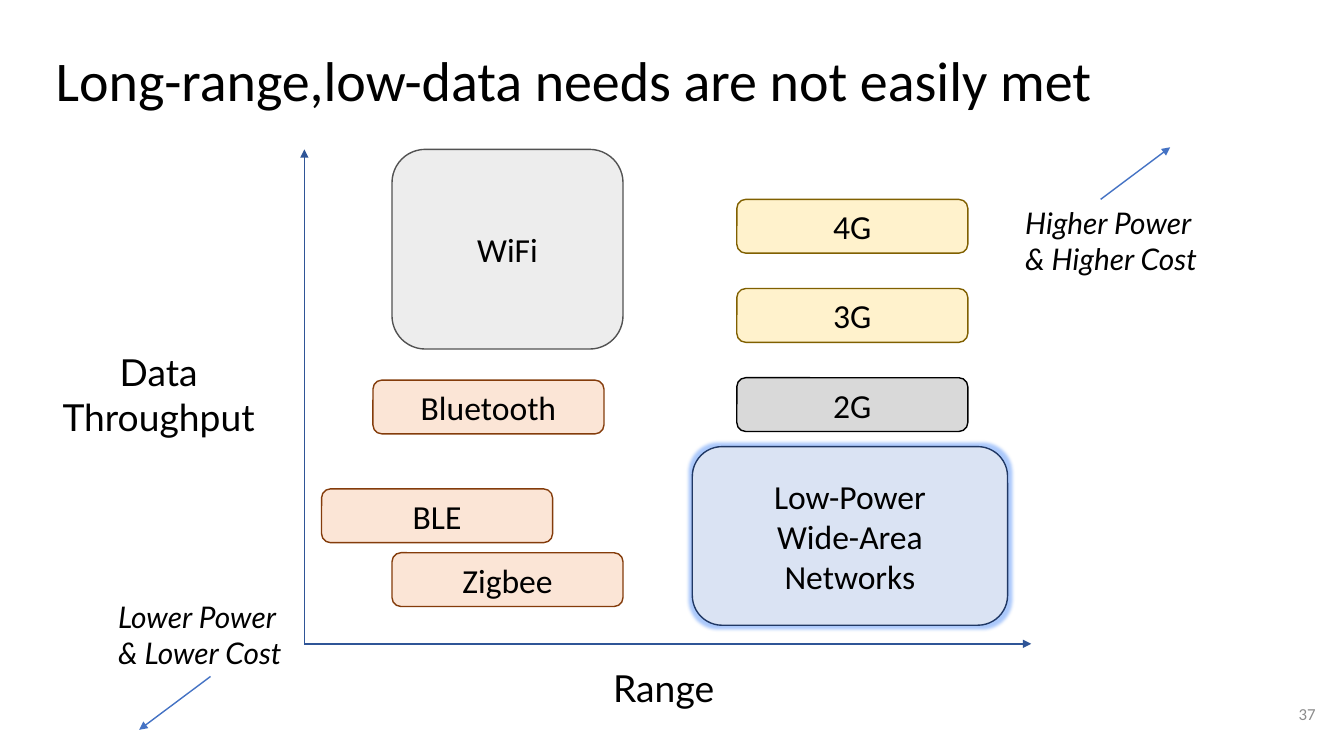
"""Build the slide that maps wireless technologies by range and data throughput."""
from dataclasses import dataclass

from lxml import etree
from pptx import Presentation
from pptx.dml.color import RGBColor
from pptx.enum.shapes import MSO_CONNECTOR, MSO_SHAPE
from pptx.enum.text import MSO_ANCHOR as ANCHOR, MSO_AUTO_SIZE as AUTO, PP_ALIGN as ALIGN
from pptx.oxml.ns import qn
from pptx.util import Pt

COLORS = {
    "text": "000000", "number": "8C8C8C", "axis": "2F5597", "arrow": "4472C4",
    "short": "FBE5D6", "short_line": "843C0B",
    "wifi": "EDEDED", "wifi_line": "525252",
    "cell": "FFF2CC", "cell_line": "806000",
    "old_cell": "D9D9D9", "old_cell_line": "000000",
    "lpwan": "DAE3F3", "lpwan_line": "203864", "glow": "2F78F5",
}
BOX_W, BOX_H = 165, 38.4
CELL_X, CELL_TOP, CELL_STEP = 526.3, 142.4, 63.7
ORIGIN_X, ORIGIN_Y = 217.4, 459.9
AXIS_SIZE, NOTE_SIZE = 26.67, 21.33


@dataclass
class Tech:
    text: str
    x: float
    y: float
    kind: str
    w: float = BOX_W
    h: float = BOX_H
    glow: bool = False


@dataclass
class Label:
    text: str
    x: float
    y: float
    w: float
    h: float
    size: float
    font: str = "Lato"
    color: str = "text"
    align: ALIGN = ALIGN.CENTER
    italic: bool = False
    anchor: ANCHOR = ANCHOR.TOP
    inset: float = 3.6
    spacing: float = 1.0
    grow: bool = True


@dataclass
class Arrow:
    x1: float
    y1: float
    x2: float
    y2: float
    color: str


TECHS = [
    Tech("Bluetooth", 266.4, 271.5, "short"),
    Tech("WiFi", 280, 106.7, "wifi", h=142.6),
    *(Tech(name, CELL_X, CELL_TOP + i * CELL_STEP, kind)
      for i, (name, kind) in enumerate([("4G", "cell"), ("3G", "cell"), ("2G", "old_cell")])),
    Tech("BLE", 229.7, 349.2, "short"),
    Tech("Zigbee", 280, 394.8, "short"),
    Tech("Low-Power\vWide-Area Networks", 494.5, 319, "lpwan", 225.2, 127.6, glow=True),
]
LOWER = Label("Lower Power\v& Lower Cost", 77.3, 424.1, 146.2, 59.1, NOTE_SIZE,
              align=ALIGN.LEFT, italic=True)
LABELS = [
    Label("Long-range,low-data needs are not easily met", 32.7, 31, 894.2, 60.5, 40, "Calibri",
          align=ALIGN.LEFT, inset=7.2, spacing=0.9, grow=False),
    Label("37", 889.2, 489.6, 57.6, 41, 12, "Calibri", "number", ALIGN.RIGHT,
          anchor=ANCHOR.MIDDLE, inset=7.2, grow=False),
    Label("Data\nThroughput", 32.4, 246.2, 162, 72, AXIS_SIZE),
    Label("Range", 401.8, 471.6, 144.7, 39.6, AXIS_SIZE),
    Label("Higher Power\v& Higher Cost", 725.2, 142.6, 155.5, 59.1, NOTE_SIZE,
          align=ALIGN.LEFT, italic=True),
]
ARROWS = [
    Arrow(ORIGIN_X, ORIGIN_Y, ORIGIN_X, 106.7, "axis"),
    Arrow(ORIGIN_X, ORIGIN_Y, 736.6, ORIGIN_Y, "axis"),
    Arrow(786.2, 142.4, 835.9, 105.2, "arrow"),
]
LOWER_ARROW = Arrow(151.2, 483.1, 99.4, 521.3, "arrow")


def rgb(name: str) -> RGBColor:
    return RGBColor.from_string(COLORS[name])


def write(tf, text: str, size: float, font: str, color: str, align: ALIGN,
          italic: bool = False, spacing: float = 1.0) -> None:
    tf.word_wrap = True
    tf.text = text
    for p in tf.paragraphs:
        p.alignment = align
        p.line_spacing = spacing
        for r in p.runs:
            r.font.size = Pt(size)
            r.font.name = font
            r.font.italic = italic
            r.font.color.rgb = rgb(color)


def add_glow(sp) -> None:
    effects = sp._element.spPr.find(qn("a:effectLst"))
    glow = etree.SubElement(effects, qn("a:glow"), rad=str(Pt(5)))
    clr = etree.SubElement(glow, qn("a:srgbClr"), val=COLORS["glow"])
    etree.SubElement(clr, qn("a:alpha"), val="40000")


def draw_tech(shapes, tech: Tech) -> None:
    sp = shapes.add_shape(MSO_SHAPE.ROUNDED_RECTANGLE,
                          Pt(tech.x), Pt(tech.y), Pt(tech.w), Pt(tech.h))
    sp.shadow.inherit = False
    sp.fill.solid()
    sp.fill.fore_color.rgb = rgb(tech.kind)
    sp.line.color.rgb = rgb(tech.kind + "_line")
    sp.line.width = Pt(1)
    if tech.glow:
        add_glow(sp)
    sp.text_frame.vertical_anchor = ANCHOR.MIDDLE
    write(sp.text_frame, tech.text, 24, "Calibri", "text", ALIGN.CENTER)


def draw_label(shapes, label: Label):
    sp = shapes.add_textbox(Pt(label.x), Pt(label.y), Pt(label.w), Pt(label.h))
    tf = sp.text_frame
    tf.margin_left = tf.margin_right = Pt(7.2)
    tf.margin_top = tf.margin_bottom = Pt(label.inset)
    tf.vertical_anchor = label.anchor
    tf.auto_size = AUTO.SHAPE_TO_FIT_TEXT if label.grow else AUTO.NONE
    write(tf, label.text, label.size, label.font, label.color, label.align,
          label.italic, label.spacing)
    return sp


def draw_arrow(shapes, arrow: Arrow):
    cxn = shapes.add_connector(MSO_CONNECTOR.STRAIGHT, Pt(arrow.x1), Pt(arrow.y1),
                               Pt(arrow.x2), Pt(arrow.y2))
    cxn.line.color.rgb = rgb(arrow.color)
    cxn.line.width = Pt(1)
    etree.SubElement(cxn.line._get_or_add_ln(), qn("a:tailEnd"), type="triangle")
    etree.SubElement(cxn._element.spPr, qn("a:effectLst"))
    return cxn


def main() -> None:
    prs = Presentation()
    prs.slide_width, prs.slide_height = Pt(960), Pt(540)
    shapes = prs.slides.add_slide(prs.slide_layouts[6]).shapes
    for arrow in ARROWS:
        draw_arrow(shapes, arrow)
    for tech in TECHS:
        draw_tech(shapes, tech)
    for label in LABELS:
        draw_label(shapes, label)
    lower = draw_label(shapes, LOWER)
    draw_arrow(shapes, LOWER_ARROW).begin_connect(lower, 2)
    prs.save("out.pptx")


if __name__ == "__main__":
    main()
